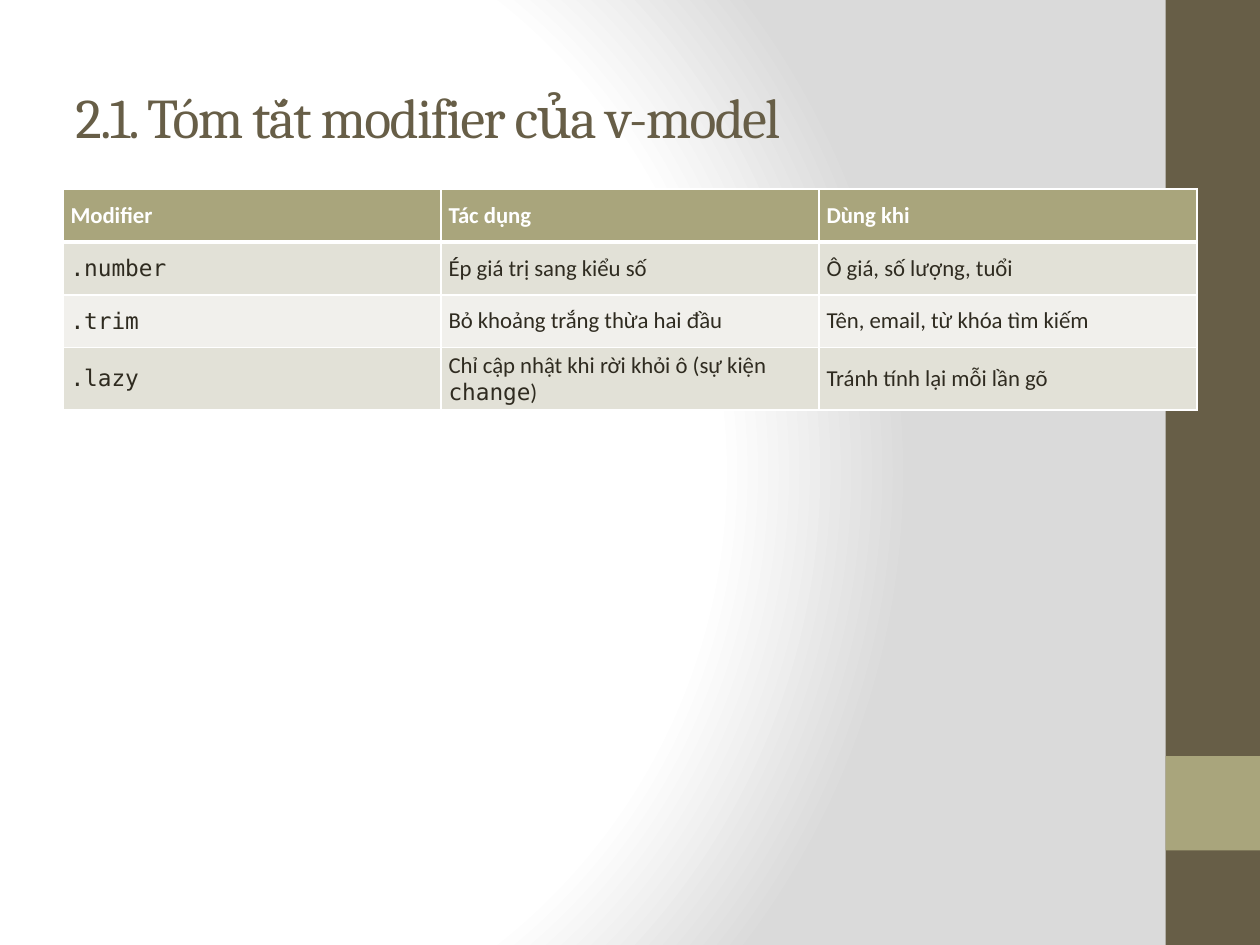
import pptx
import pptx.util
import pptx.dml.color
import pptx.enum.shapes
import pptx.enum.text
import pptx.oxml
import pptx.oxml.ns

PX = 9144
MONO = "DejaVu Sans Mono"
NS = pptx.oxml.ns.nsdecls("a", "p")


def rgb(value):
    return pptx.dml.color.RGBColor.from_string(value)


def add_run(p, text, font, size, color, bold=False):
    r = p.add_run()
    r.text = text
    r.font.name = font
    r.font.size = pptx.util.Pt(size)
    r.font.color.rgb = rgb(color)
    r.font.bold = bold
    return r


prs = pptx.Presentation()
prs.slide_width = 1000 * PX
prs.slide_height = 750 * PX
s = prs.slides.add_slide(prs.slide_layouts[6])

stops = "".join(
    f'<a:gs pos="{pos * 1000}"><a:srgbClr val="{color}"/></a:gs>'
    for pos, color in [(0, "FFFFFF"), (75, "FFFFFF"), (100, "DADADA")]
)
s.element.cSld.insert(0, pptx.oxml.parse_xml(
    f'<p:bg {NS}><p:bgPr><a:gradFill rotWithShape="1"><a:gsLst>{stops}</a:gsLst>'
    '<a:path path="circle"><a:fillToRect l="20000" t="50000" r="100000" b="50000"/></a:path>'
    '</a:gradFill><a:effectLst/></p:bgPr></p:bg>'
))

for top, height, color in [(0, 750, "675E47"), (600, 75, "A9A57C")]:
    sp = s.shapes.add_shape(pptx.enum.shapes.MSO_SHAPE.RECTANGLE,
                            925 * PX, top * PX, 75 * PX, height * PX)
    sp.shadow.inherit = False
    sp.fill.solid()
    sp.fill.fore_color.rgb = rgb(color)
    sp.line.fill.background()

sp = s.shapes.add_textbox(50 * PX, 30 * PX, 833 * PX, 125 * PX)
tf = sp.text_frame
tf.word_wrap = True
tf.vertical_anchor = pptx.enum.text.MSO_ANCHOR.MIDDLE
r = add_run(tf.paragraphs[0], "2.1. Tóm tắt modifier của v-model", "Cambria", 32, "675E47")
r.font._element.set("spc", "-100")

rows = [
    ["Modifier", "Tác dụng", "Dùng khi"],
    [".number", "Ép giá trị sang kiểu số", "Ô giá, số lượng, tuổi"],
    [".trim", "Bỏ khoảng trắng thừa hai đầu", "Tên, email, từ khóa tìm kiếm"],
    [".lazy", ["Chỉ cập nhật khi rời khỏi ô (sự kiện ", "change", ")"],
     "Tránh tính lại mỗi lần gõ"],
]
fills = ["A9A57C", "E2E1D7", "F1F0EC", "E2E1D7"]
table = s.shapes.add_table(4, 3, 50 * PX, 150 * PX, 900 * PX, 168 * PX).table
for col in table.columns:
    col.width = 300 * PX
for i, row in enumerate(rows):
    table.rows[i].height = 42 * PX
    for j, content in enumerate(row):
        cell = table.cell(i, j)
        cell.margin_left = cell.margin_right = 6 * PX
        cell.margin_top = cell.margin_bottom = 3 * PX
        cell.vertical_anchor = pptx.enum.text.MSO_ANCHOR.MIDDLE
        p = cell.text_frame.paragraphs[0]
        for text in content if isinstance(content, list) else [content]:
            font = MONO if text == "change" or i and j == 0 else "Calibri"
            add_run(p, text, font, 13, "2F2B20" if i else "FFFFFF", i == 0)
        tc_pr = cell._tc.get_or_add_tcPr()
        for side in "LRTB":
            width = 3 if (i, side) in [(0, "B"), (1, "T")] else 1
            tc_pr.append(pptx.oxml.parse_xml(
                f'<a:ln{side} {NS} w="{width * 12700}"><a:solidFill>'
                f'<a:srgbClr val="FFFFFF"/></a:solidFill></a:ln{side}>'
            ))
        cell.fill.solid()
        cell.fill.fore_color.rgb = rgb(fills[i])

prs.save("out.pptx")
